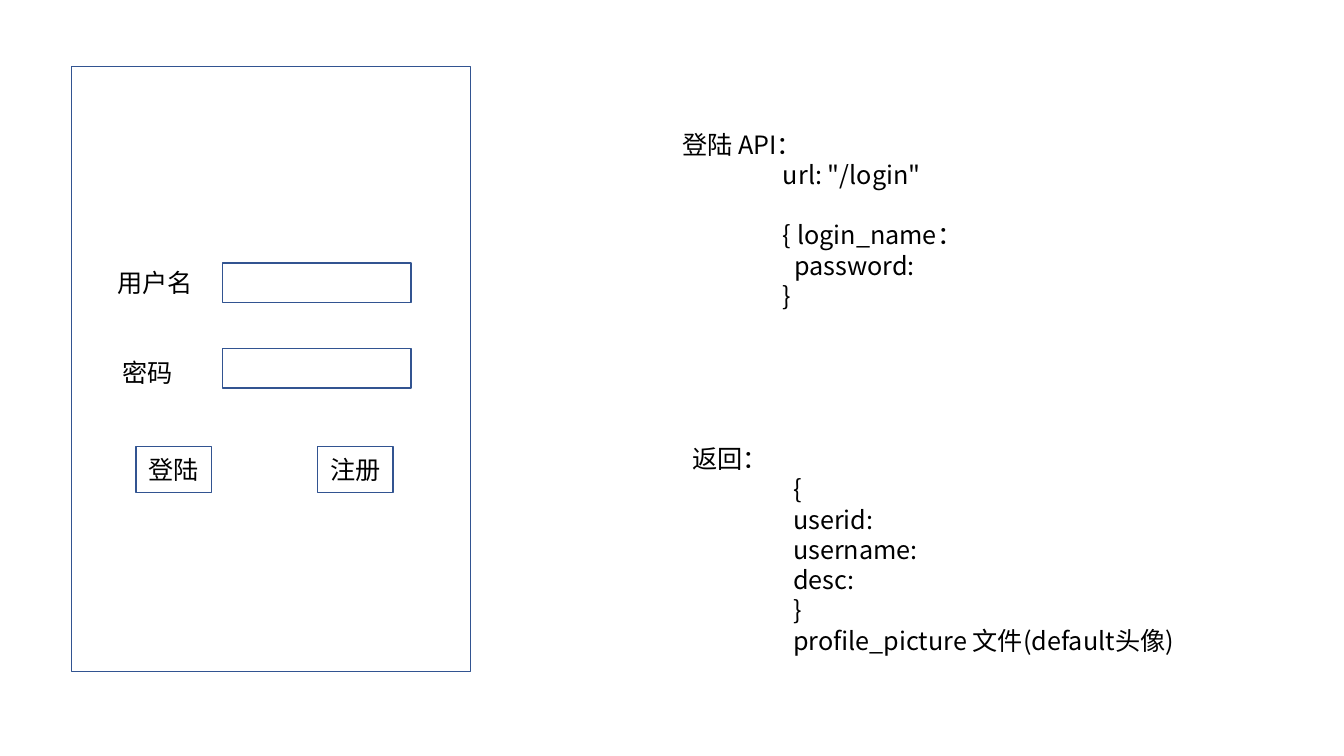
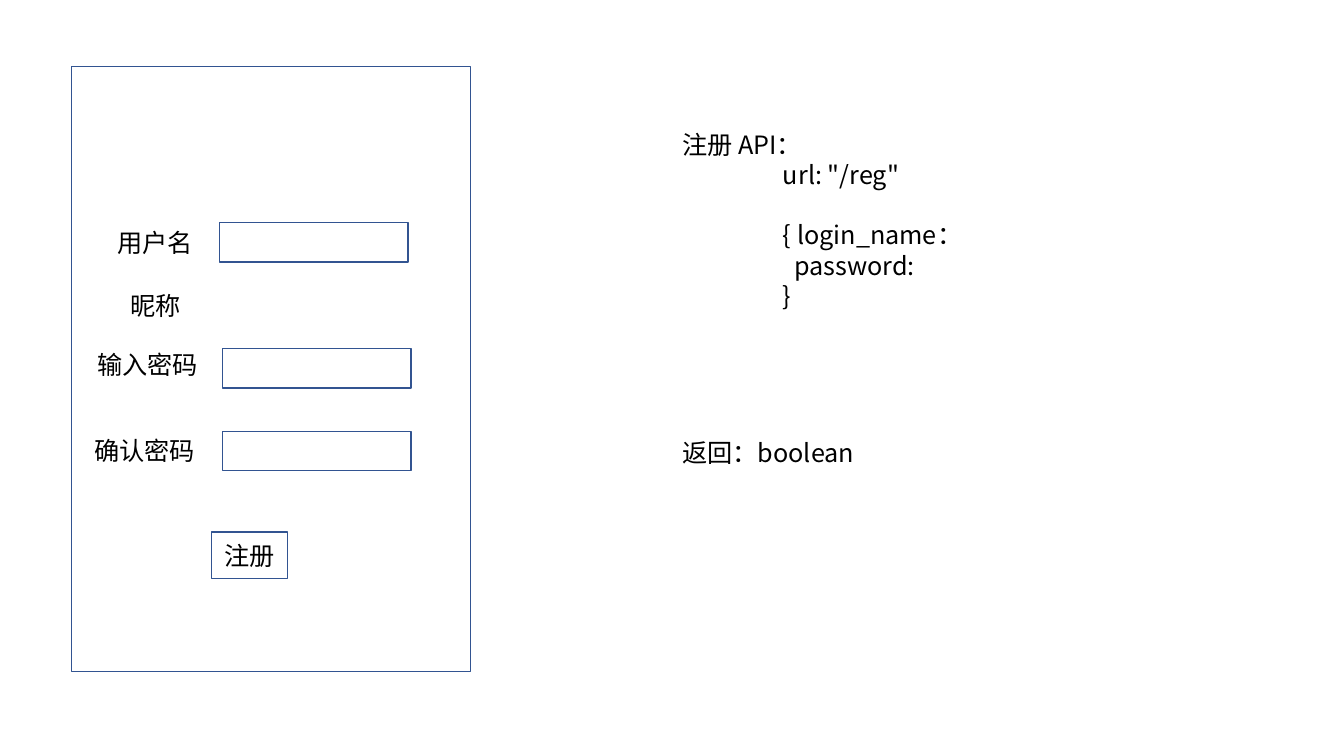
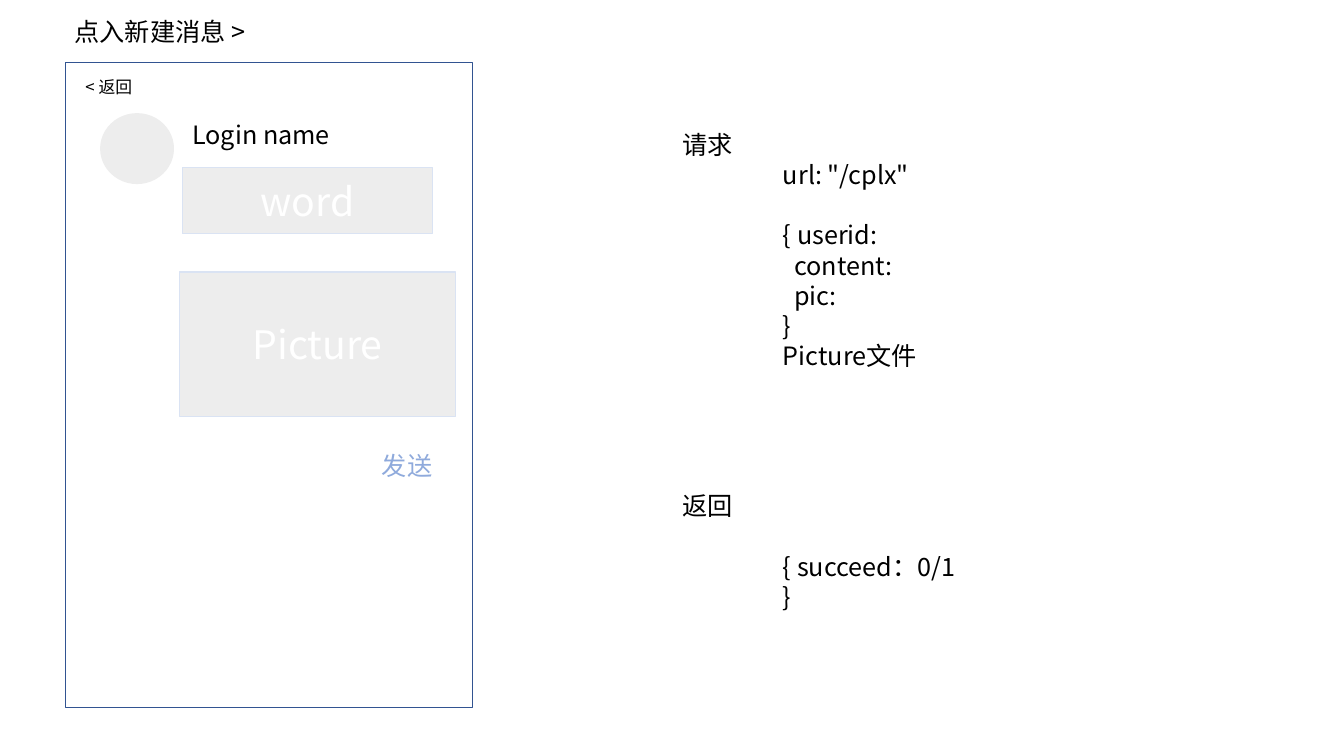
import pptx
import pptx.util
import pptx.dml.color
import pptx.enum.shapes
import pptx.enum.text
import lxml.etree
from dataclasses import dataclass

Pt = pptx.util.Pt
Kind = pptx.enum.shapes.MSO_SHAPE
Align = pptx.enum.text.PP_ALIGN
Anchor = pptx.enum.text.MSO_ANCHOR


@dataclass(frozen=True)
class Theme:
    """Colours, font and sizes shared by the slides."""
    font: str = "Noto Sans CJK SC"
    ink: str = "000000"
    paper: str = "FFFFFF"
    edge: str = "325491"
    grey: str = "EDEDED"
    pale: str = "DAE3F3"
    link: str = "8FAADC"
    small: int = 12
    body: int = 18
    large: int = 28
    lead: float = 1.2
    depth: tuple = (0, 72, 80)


look = Theme()
INPUT = (134.6, 28)
BUTTON = (54, 33)


def color(code):
    """Turn a hex code into a colour."""
    return pptx.dml.color.RGBColor.from_string(code)


def points(*sizes):
    """Turn numbers into lengths in points."""
    return [Pt(size) for size in sizes]


def style(para, size, ink):
    """Format the runs of a paragraph."""
    for run in para.runs:
        run.font.size = Pt(size)
        run.font.name = look.font
        run.font.color.rgb = color(ink)
        latin = run.font._element.find(pptx.oxml.ns.qn("a:latin"))
        east = lxml.etree.Element(pptx.oxml.ns.qn("a:ea"), typeface=look.font)
        latin.addnext(east)


def block(slide, box, text="", line=look.edge, fill=look.paper,
          ink=look.ink, size=look.body, kind=Kind.RECTANGLE):
    """Draw a filled shape with centred text."""
    shape = slide.shapes.add_shape(kind, *points(*box))
    shape.shadow.inherit = False
    shape.fill.solid()
    shape.fill.fore_color.rgb = color(fill)
    if line:
        shape.line.color.rgb = color(line)
        shape.line.width = Pt(1)
    else:
        shape.line.fill.background()
    if text:
        frame = shape.text_frame
        frame.text = text
        frame.vertical_anchor = Anchor.MIDDLE
        para = frame.paragraphs[0]
        para.alignment = Align.CENTER
        style(para, size, ink)


def note(slide, box, groups, size=look.body, ink=look.ink):
    """Write groups of indented lines, one line of space between groups."""
    frame = slide.shapes.add_textbox(*points(*box)).text_frame
    frame.word_wrap = True
    pitch = Pt(size * look.lead)
    para = None
    for group in groups:
        for rank, (depth, text) in enumerate(group):
            first = para is None
            para = frame.paragraphs[0] if first else frame.add_paragraph()
            para.text = text
            para.line_spacing = pitch
            if rank == 0 and not first:
                para.space_before = pitch
            para._p.get_or_add_pPr().set("marL", str(Pt(look.depth[depth])))
            style(para, size, ink)


def form(slide, box, labels, inputs, buttons):
    """Draw a phone panel with labels, inputs and buttons."""
    left, top = box[:2]
    block(slide, box)
    for text, x, y, width in labels:
        block(slide, (left + x, top + y, width, 33), text, line=None)
    for x, y in inputs:
        block(slide, (left + x, top + y, *INPUT))
    for text, x, y in buttons:
        block(slide, (left + x, top + y, *BUTTON), text)


def post(slide, box):
    """Draw the panel for a new message."""
    left, top = box[:2]
    block(slide, box)
    block(slide, (left + 25.2, top + 36.7, 51.8, 49.7), line=look.grey,
          fill=look.grey, kind=Kind.OVAL)
    for text, x, y, w, h in (("word", 83.5, 74.9, 178.6, 47.5),
                             ("Picture", 81.4, 149.8, 197.3, 103)):
        block(slide, (left + x, top + y, w, h), text, look.pale,
              look.grey, look.paper, look.large)
    for text, x, y, w, size, ink in (
            ("点入新建消息 >", -0.7, -36.7, 160, look.body, look.ink),
            ("< 返回", 7.2, 6.5, 103.7, look.small, look.ink),
            ("Login name", 83.5, 37.4, 124.6, look.body, look.ink),
            ("发送", 218.9, 273.6, 60, look.body, look.link)):
        note(slide, (left + x, top + y, w, size * 1.6), [[(0, text)]],
             size, ink)


def call(slide, box, head, url, fields, tail=()):
    """Write the request side of an interface."""
    body = [(1, "{ " + fields[0])]
    body += [(2, field) for field in fields[1:]]
    body += [(1, text) for text in ("}", *tail)]
    note(slide, box, [[(0, head), (1, f'url: "{url}"')], body])


def main():
    """Build the three slides and save them."""
    deck = pptx.Presentation()
    deck.slide_width, deck.slide_height = points(960, 540)
    blank = deck.slide_layouts[6]
    login, enrol, write = [deck.slides.add_slide(blank) for _ in range(3)]
    panel = (51.1, 47.5, 285.1, 432)
    ask = (480.2, 88.6, 356.4, 138.2)
    names = ("login_name：", "password:")

    form(login, panel,
         [("用户名", 23.8, 137.5, 72), ("密码", 27.4, 202.3, 54)],
         [(108, 140.4), (108, 201.6)],
         [("登陆", 46.1, 271.4), ("注册", 175.7, 271.4)])
    call(login, ask, "登陆 API：", "/login", names)
    reply = ("{", "userid:", "username:", "desc:", "}",
             "profile_picture 文件(default头像)")
    note(login, (487.4, 313.2, 363.6, 181.4),
         [[(0, "返回："), *((1, text) for text in reply)]])

    form(enrol, panel,
         [("用户名", 23.8, 109.4, 72), ("昵称", 23.8, 154.1, 72),
          ("输入密码", 8.6, 196.6, 91.4), ("确认密码", 6.5, 257.8, 91.4)],
         [(105.8, 111.6), (108, 201.6), (108, 260.6)],
         [("注册", 100.1, 332.6)])
    call(enrol, ask, "注册 API：", "/reg", names)
    note(enrol, (480.2, 308.9, 363.6, 51.1), [[(0, "返回：boolean")]])

    post(write, (46.8, 44.6, 290.9, 460.8))
    call(write, (*ask[:3], 181.4), "请求", "/cplx",
         ("userid:", "content:", "pic:"), ["Picture文件"])
    note(write, (480.2, 347, 262.1, 94.3),
         [[(0, "返回")], [(1, "{ succeed：0/1"), (1, "}")]])
    deck.save("out.pptx")


main()
